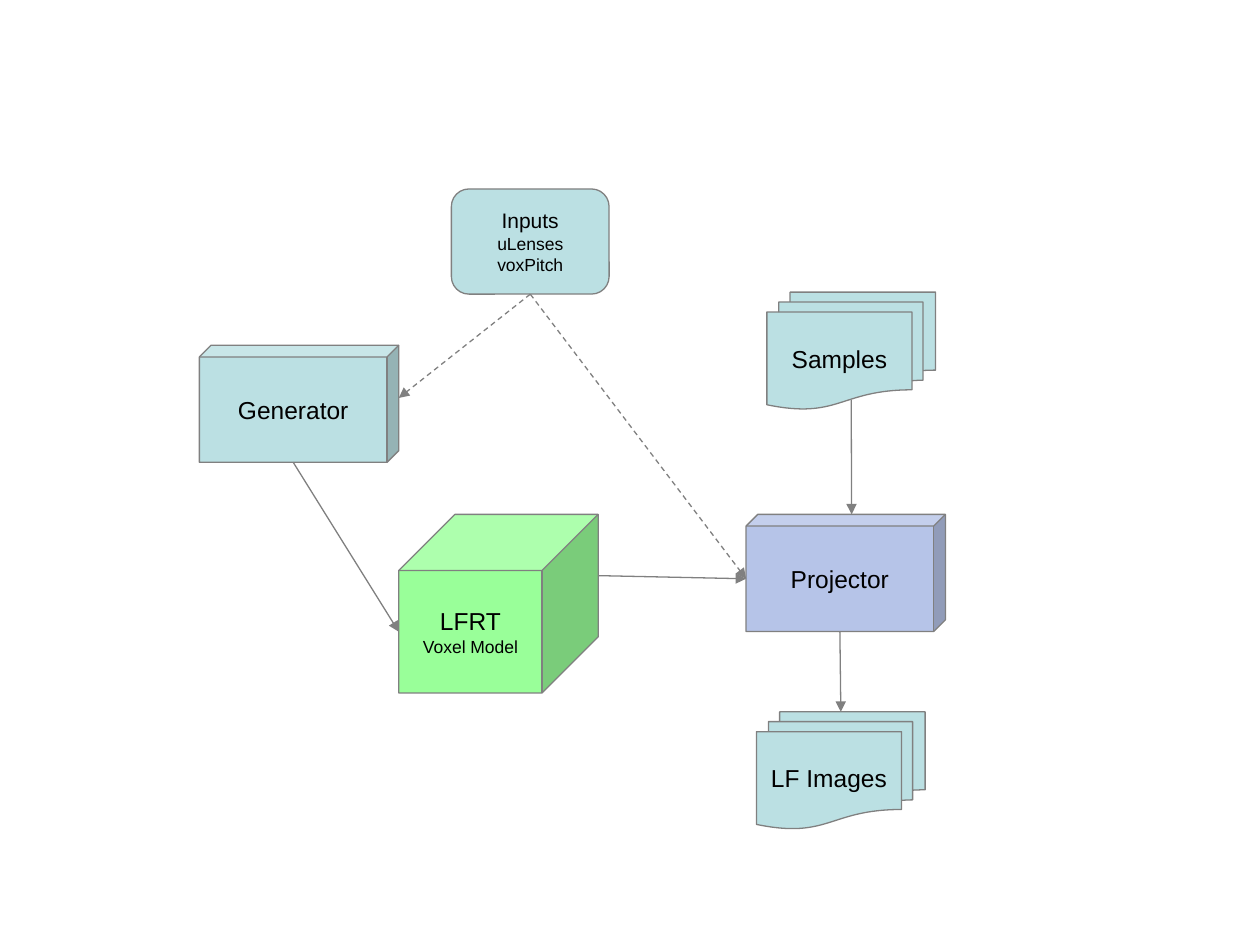
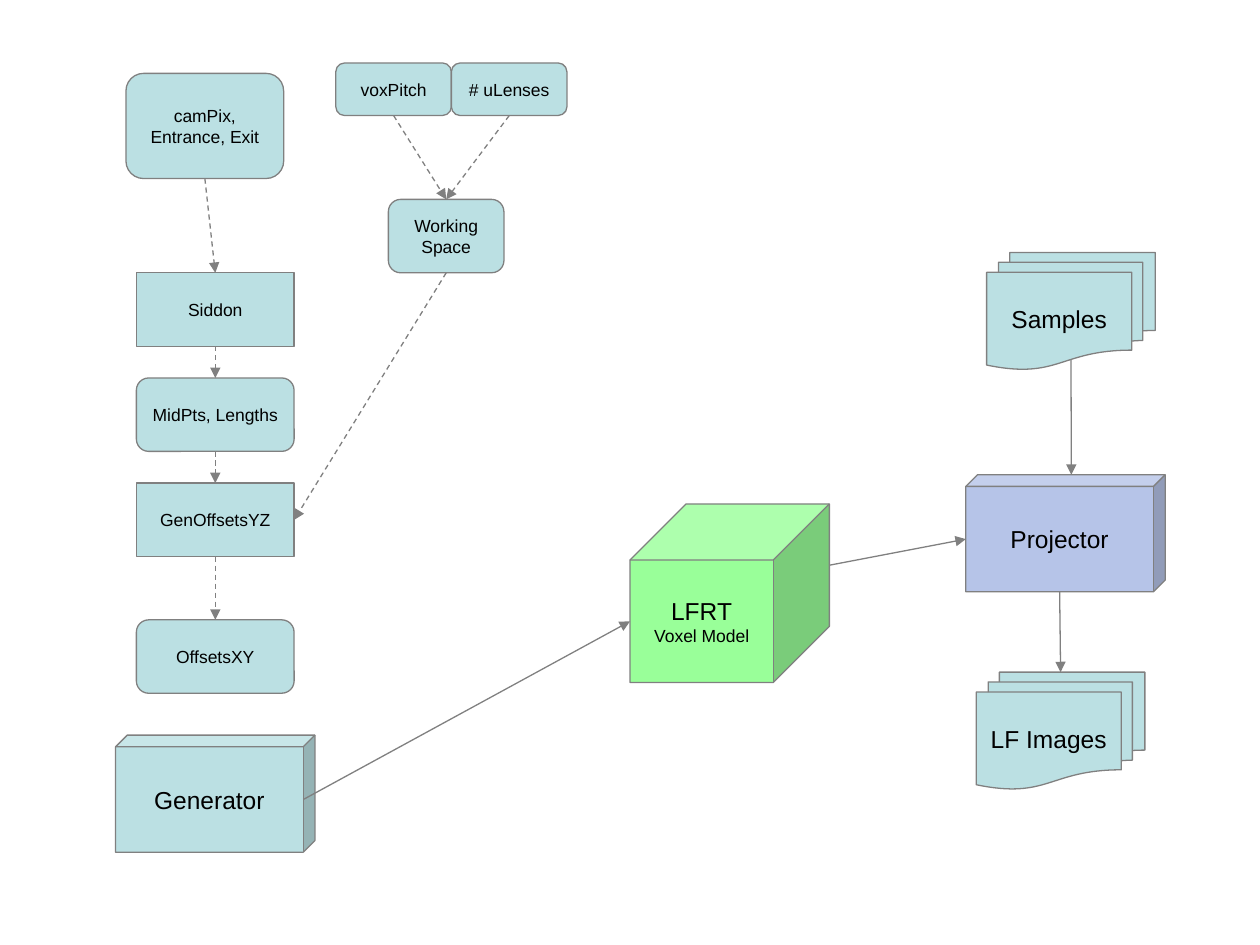
"""Build two flow diagrams of the light field generator and projector."""
from lxml import etree
from pptx import Presentation
from pptx import util as u
from pptx.dml.color import RGBColor
from pptx.enum import dml, shapes, text
from pptx.oxml import ns

COLORS = {"teal": "BBE0E3", "blue": "B6C4E8", "green": "99FF99",
          "line": "808080", "text": "000000"}
FONT = "Arial"
SHAPE = shapes.MSO_SHAPE
TOP, LEFT, BOTTOM, RIGHT, FRONT = range(5)

# kind: preset, width, height, fill, adjustment, first and later text sizes
KINDS = {
    "inputs": (SHAPE.ROUNDED_RECTANGLE, 3.18, 2.12, "teal", 0.167, 12, 10),
    "camera": (SHAPE.ROUNDED_RECTANGLE, 3.18, 2.12, "teal", 0.167, 10, 10),
    "data": (SHAPE.ROUNDED_RECTANGLE, 3.18, 1.48, "teal", 0.167, 10, 10),
    "step": (SHAPE.RECTANGLE, 3.18, 1.48, "teal", None, 10, 10),
    "setting": (SHAPE.ROUNDED_RECTANGLE, 2.33, 1.06, "teal", 0.167, 10, 10),
    "space": (SHAPE.ROUNDED_RECTANGLE, 2.33, 1.48, "teal", 0.167, 10, 10),
    "generator": (SHAPE.CUBE, 4.02, 2.36, "teal", 0.1, 14, 10),
    "projector": (SHAPE.CUBE, 4.02, 2.36, "blue", 0.1, 14, 10),
    "model": (SHAPE.CUBE, 4.02, 3.6, "green", 0.314, 14, 10),
    "files": (SHAPE.FLOWCHART_MULTIDOCUMENT, 3.4, 2.36, "teal", None, 14, 10),
}

MODEL_TEXT = "LFRT\nVoxel Model"
OUTPUT_COLUMN = [("projector", "Projector", 0, 0),
                 ("files", "Samples", 0.42, -4.48),
                 ("files", "LF Images", 0.21, 3.98)]
OUTPUT_ARROWS = [("Samples", BOTTOM, "Projector", TOP, False),
                 ("Projector", BOTTOM, "LF Images", TOP, False),
                 (MODEL_TEXT, RIGHT, "Projector", LEFT, False)]

INPUTS = "Inputs\nuLenses\nvoxPitch"
CAMERA = "camPix,\nEntrance, Exit"
SPACE = "Working\nSpace"
STEP_LEFT, STEP_TOP, STEP_PITCH = 2.75, 5.5, 2.12
PIPELINE = [("step", "Siddon", 0), ("data", "MidPts, Lengths", 1),
            ("step", "GenOffsetsYZ", 2), ("data", "OffsetsXY", 3.3)]
PIPELINE_NAMES = [name for _, name, _ in PIPELINE]

DIAGRAMS = [
    {"projector": (15.04, 10.37),
     "boxes": [("inputs", INPUTS, 9.1, 3.81),
               ("generator", "Generator", 4.02, 6.96),
               ("model", MODEL_TEXT, 8.04, 10.37)],
     "arrows": [("Generator", BOTTOM, MODEL_TEXT, LEFT, False),
                (INPUTS, BOTTOM, "Generator", RIGHT, True),
                (INPUTS, BOTTOM, "Projector", LEFT, True)]},
    {"projector": (19.47, 9.57),
     "boxes": [("camera", CAMERA, 2.54, 1.48),
               ("generator", "Generator", 2.33, 14.82),
               ("model", MODEL_TEXT, 12.7, 10.16),
               ("setting", "voxPitch", 6.77, 1.27),
               ("setting", "# uLenses", 9.1, 1.27),
               ("space", SPACE, 7.83, 4.02)]
     + [(kind, name, STEP_LEFT, STEP_TOP + row * STEP_PITCH)
        for kind, name, row in PIPELINE],
     "arrows": [("Generator", FRONT, MODEL_TEXT, LEFT, False),
                (CAMERA, BOTTOM, "Siddon", TOP, True),
                ("voxPitch", BOTTOM, SPACE, TOP, True),
                ("# uLenses", BOTTOM, SPACE, TOP, True),
                (SPACE, BOTTOM, "GenOffsetsYZ", RIGHT, True)]
     + [(upper, BOTTOM, lower, TOP, True)
        for upper, lower in zip(PIPELINE_NAMES, PIPELINE_NAMES[1:])]},
]


def color(name):
    return RGBColor.from_string(COLORS[name])


def style_line(line):
    line.color.rgb = color("line")
    line.width = u.Pt(0.75)


def add_box(slide, kind, words, left, top):
    preset, width, height, fill, adjustment, first_size, later_size = KINDS[kind]
    box = slide.shapes.add_shape(
        preset, *(u.Cm(length) for length in (left, top, width, height)))
    if adjustment is not None:
        box.adjustments[0] = adjustment
    box.shadow.inherit = False
    box.fill.solid()
    box.fill.fore_color.rgb = color(fill)
    style_line(box.line)
    frame = box.text_frame
    frame.text = words
    frame.word_wrap = False
    frame.vertical_anchor = text.MSO_ANCHOR.MIDDLE
    for row, para in enumerate(frame.paragraphs):
        para.alignment = text.PP_ALIGN.CENTER
        for span in para.runs:
            span.font.name = FONT
            span.font.size = u.Pt(later_size if row else first_size)
            span.font.color.rgb = color("text")
    return box


def site(box, side):
    """Return the point where an arrow meets the given side of a box."""
    width, height, depth, bottom = box.width, box.height, 0, box.height
    if box.auto_shape_type == SHAPE.CUBE:
        depth = box.adjustments[0] * min(width, height)
    elif box.auto_shape_type == SHAPE.FLOWCHART_MULTIDOCUMENT:
        bottom = 0.92 * height
    x, y = {TOP: ((width + depth) / 2, 0),
            LEFT: (0, (height + depth) / 2),
            BOTTOM: ((width - depth) / 2, bottom),
            RIGHT: (width, (height - depth) / 2),
            FRONT: (width - depth, (height + depth) / 2)}[side]
    return int(box.left + x), int(box.top + y)


def add_arrow(slide, source, source_side, target, target_side, dashed):
    arrow = slide.shapes.add_connector(
        shapes.MSO_CONNECTOR.STRAIGHT,
        *site(source, source_side), *site(target, target_side))
    rectangles = (SHAPE.RECTANGLE, SHAPE.ROUNDED_RECTANGLE)
    if source.auto_shape_type in rectangles:
        arrow.begin_connect(source, source_side)
    if target.auto_shape_type in rectangles:
        arrow.end_connect(target, target_side)
    style_line(arrow.line)
    if dashed:
        arrow.line.dash_style = dml.MSO_LINE.DASH
    etree.SubElement(arrow.line._get_or_add_ln(), ns.qn("a:tailEnd"), type="triangle")
    etree.SubElement(arrow._element.spPr, ns.qn("a:effectLst"))


def add_diagram(deck, diagram):
    slide = deck.slides.add_slide(deck.slide_layouts[6])
    left, top = diagram["projector"]
    column = [(kind, words, left + dx, top + dy)
              for kind, words, dx, dy in OUTPUT_COLUMN]
    boxes = {part[1]: add_box(slide, *part) for part in diagram["boxes"] + column}
    for source, source_side, target, target_side, dashed in diagram["arrows"] + OUTPUT_ARROWS:
        add_arrow(slide, boxes[source], source_side, boxes[target], target_side, dashed)


def main():
    deck = Presentation()
    deck.slide_width, deck.slide_height = u.Cm(25.4), u.Cm(19.05)
    for diagram in DIAGRAMS:
        add_diagram(deck, diagram)
    deck.save("out.pptx")


if __name__ == "__main__":
    main()
